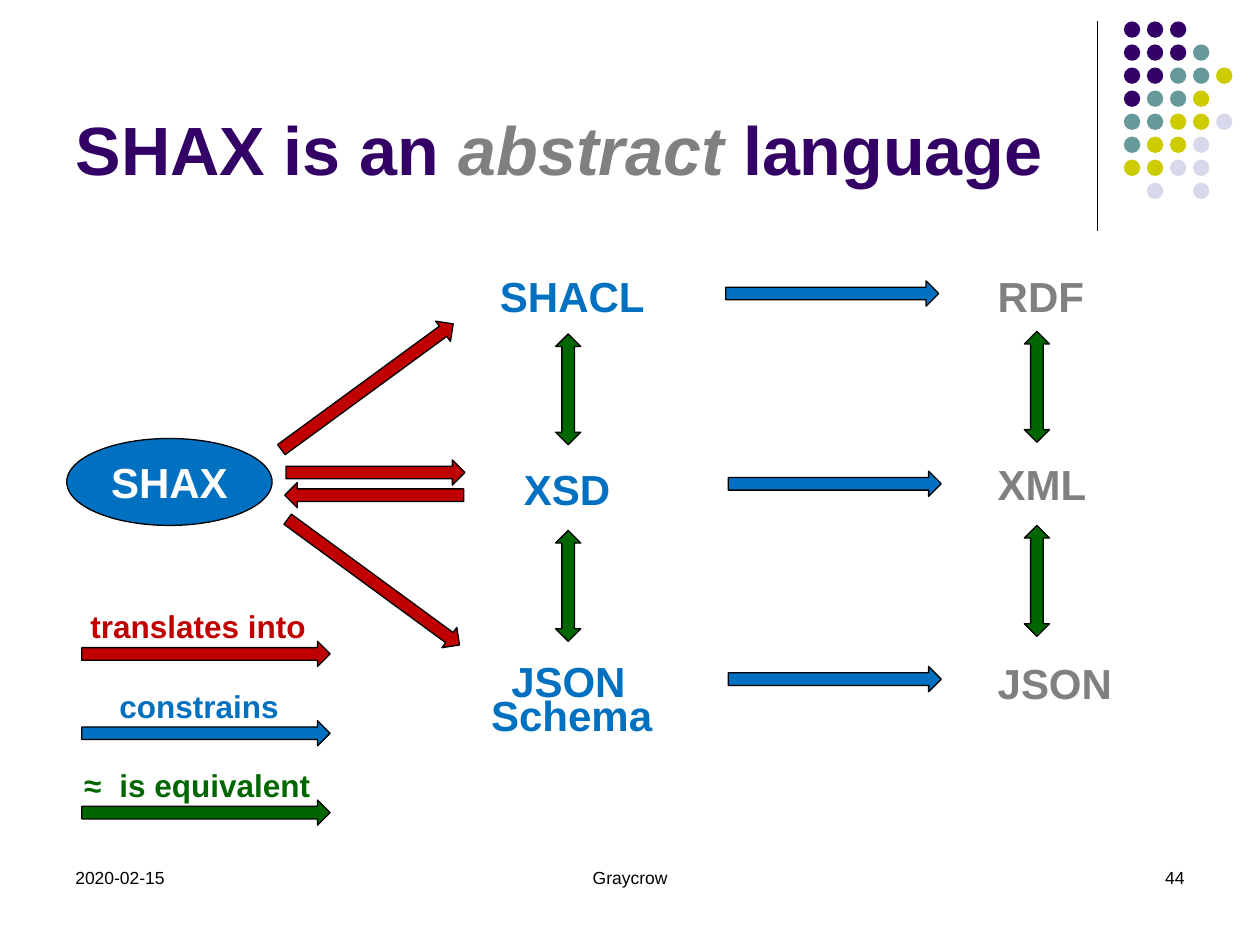
from pptx import Presentation
from pptx.dml.color import RGBColor
from pptx.enum.shapes import MSO_CONNECTOR, MSO_SHAPE
from pptx.enum.text import MSO_ANCHOR, MSO_AUTO_SIZE, PP_ALIGN
from pptx.oxml.ns import qn
from pptx.util import Inches, Pt
from lxml import etree

PURPLE, TEAL, LIME, LILAC = "330066", "669999", "CCCC00", "D8D8EC"
RED, BLUE, GREEN = "C00000", "0070C0", "006600"
GRAY, BLACK, WHITE = "808080", "000000", "FFFFFF"
DOT_COLORS = {"P": PURPLE, "T": TEAL, "L": LIME, "V": LILAC}
DOT_ROWS = ["PPP", "PPPT", "PPTTL", "PTTL", "TTLLV", "TLLV", "LLVV", ".V.V"]


def color(hex_text):
    """Turn a hex string into a colour."""
    return RGBColor.from_string(hex_text)


def add_run(paragraph, text, size, hex_text, bold=True, italic=False):
    """Append one formatted run."""
    run = paragraph.add_run()
    run.text = text
    font = run.font
    font.name, font.size = "Arial", Pt(size)
    font.bold, font.italic = bold, italic
    font.color.rgb = color(hex_text)


def add_label(slide, box, text, size, hex_text, bold=True, align=PP_ALIGN.LEFT):
    """Add a text box with one line of text and return its paragraph."""
    label = slide.shapes.add_textbox(*map(Inches, box))
    label.text_frame.word_wrap = True
    paragraph = label.text_frame.paragraphs[0]
    paragraph.alignment = align
    add_run(paragraph, text, size, hex_text, bold)
    return paragraph


def add_filled(slide, preset, box, fill, outline=BLACK, rotation=0):
    """Add a preset shape with a solid fill and an optional thin outline."""
    shape = slide.shapes.add_shape(preset, *map(Inches, box))
    shape.shadow.inherit = False
    shape.fill.solid()
    shape.fill.fore_color.rgb = color(fill)
    if outline:
        shape.line.color.rgb = color(outline)
        shape.line.width = Pt(0.75)
    else:
        shape.line.fill.background()
    shape.rotation = rotation
    return shape


def add_corner_ornament(slide):
    """Add the vertical rule and the grid of dots at the top right."""
    rule = slide.shapes.add_connector(
        MSO_CONNECTOR.STRAIGHT, Inches(8.71), Inches(0.17), Inches(8.71), Inches(1.83))
    rule.line.color.rgb = color(BLACK)
    rule.line.width = Pt(0.75)
    etree.SubElement(rule.element.spPr, qn("a:effectLst"))
    pitch = 1.28 / 7
    for row, codes in enumerate(DOT_ROWS):
        for column, code in enumerate(codes):
            if code in DOT_COLORS:
                box = (8.92 + column * pitch, 0.17 + row * pitch, 0.13, 0.13)
                add_filled(slide, MSO_SHAPE.OVAL, box, DOT_COLORS[code], None)


def set_title(slide):
    """Place and fill the title."""
    title = slide.shapes.title
    title.left, title.top = Inches(0.5), Inches(0.13)
    title.width, title.height = Inches(8.25), Inches(1.42)
    frame = title.text_frame
    frame.vertical_anchor = MSO_ANCHOR.BOTTOM
    frame.auto_size = MSO_AUTO_SIZE.NONE
    frame.word_wrap = True
    paragraph = frame.paragraphs[0]
    paragraph.alignment = PP_ALIGN.LEFT
    add_run(paragraph, "SHAX is an ", 39, PURPLE)
    add_run(paragraph, "abstract", 39, GRAY, italic=True)
    add_run(paragraph, " language", 39, PURPLE)


def add_footer(slide):
    """Add date, footer and slide number."""
    for left, width, text, align in [
            (0.5, 2.33, "2020-02-15", PP_ALIGN.LEFT),
            (3.19, 3.62, "Graycrow", PP_ALIGN.CENTER),
            (7.17, 2.33, "44", PP_ALIGN.RIGHT)]:
        add_label(slide, (left, 6.83, width, 0.5), text, 10, BLACK, False, align)


def add_languages(slide):
    """Add the schema languages, the data formats and the SHAX ellipse."""
    for left, top, text, hex_text in [
            (3.87, 2.1, "SHACL", BLUE), (4.06, 3.63, "XSD", BLUE),
            (3.96, 5.15, "JSON", BLUE), (3.8, 5.42, "Schema", BLUE),
            (7.82, 2.1, "RDF", GRAY), (7.82, 3.59, "XML", GRAY),
            (7.82, 5.17, "JSON", GRAY)]:
        add_label(slide, (left, top, 1.5, 0.5), text, 24, hex_text)
    shax = add_filled(slide, MSO_SHAPE.OVAL, (0.53, 3.48, 1.63, 0.69), BLUE)
    frame = shax.text_frame
    frame.word_wrap = False
    frame.vertical_anchor = MSO_ANCHOR.MIDDLE
    frame.paragraphs[0].alignment = PP_ALIGN.CENTER
    add_run(frame.paragraphs[0], "SHAX", 24, WHITE)


def add_relations(slide):
    """Add the arrows between the languages."""
    for left, top in [(8.13, 2.63), (8.13, 4.17), (4.41, 2.65), (4.41, 4.21)]:
        add_filled(slide, MSO_SHAPE.UP_DOWN_ARROW, (left, top, 0.2, 0.88), GREEN)
    for left, top, width, fill, rotation in [
            (5.76, 2.23, 1.69, BLUE, 0), (5.78, 3.74, 1.69, BLUE, 0),
            (5.78, 5.29, 1.69, BLUE, 0),
            (2.07, 2.97, 1.69, RED, 323.8), (2.12, 4.52, 1.69, RED, 36.2),
            (2.27, 3.65, 1.42, RED, 0), (2.26, 3.83, 1.42, RED, 180)]:
        add_filled(slide, MSO_SHAPE.RIGHT_ARROW, (left, top, width, 0.2), fill,
                   rotation=rotation)


def add_legend(slide):
    """Add the three legend arrows with their captions."""
    for row, (left, text, hex_text) in enumerate([
            (0.62, "translates into", RED), (0.85, "constrains", BLUE),
            (0.57, "\u2248\tis equivalent", GREEN)]):
        top = 4.77 + row * 0.63
        add_filled(slide, MSO_SHAPE.RIGHT_ARROW,
                   (0.65, top + 0.32, 1.97, 0.2), hex_text)
        caption = add_label(slide, (left, top, 2.2, 0.4), text, 18, hex_text)
        if "\t" in text:
            properties = caption._p.get_or_add_pPr()
            properties.set("marL", str(Inches(0.28)))
            properties.set("indent", str(-Inches(0.28)))


def main():
    """Build and save the slide."""
    deck = Presentation()
    deck.slide_width, deck.slide_height = Inches(10), Inches(7.5)
    slide = deck.slides.add_slide(deck.slide_layouts[5])
    add_corner_ornament(slide)
    set_title(slide)
    add_languages(slide)
    add_relations(slide)
    add_legend(slide)
    add_footer(slide)
    deck.save("out.pptx")


main()
